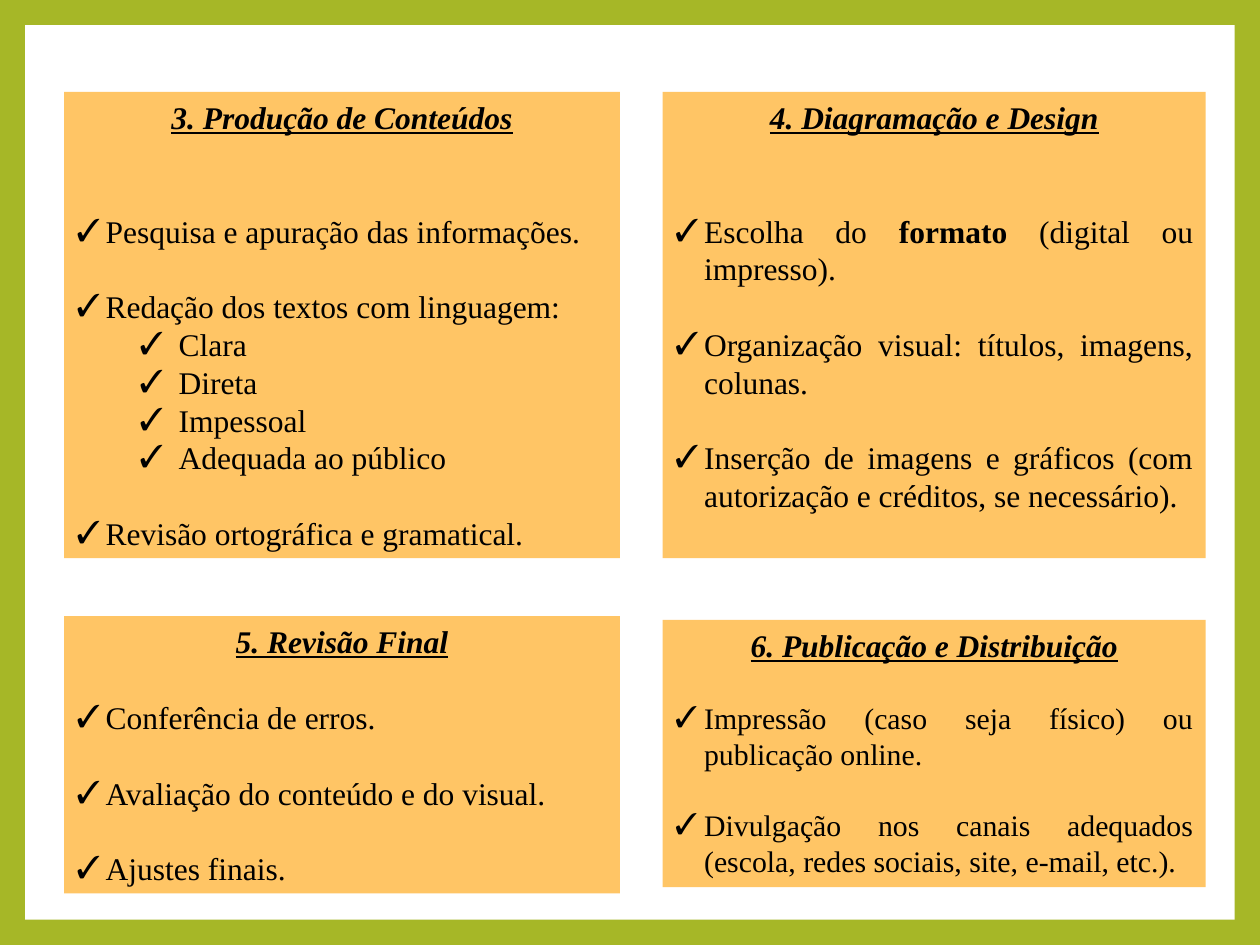
"""Build a slide with four orange panels listing the steps of a publication."""
import pptx
import pptx.util
import pptx.dml.color
import pptx.enum.shapes
import pptx.enum.text
import pptx.oxml
import pptx.oxml.ns

Inches, Pt = pptx.util.Inches, pptx.util.Pt
RGBColor = pptx.dml.color.RGBColor
ALIGN = pptx.enum.text.PP_ALIGN

GREEN = RGBColor(0xA6, 0xB7, 0x27)
WHITE = RGBColor(0xFF, 0xFF, 0xFF)
ORANGE = RGBColor(0xFF, 0xC5, 0x65)
BLACK = RGBColor(0x00, 0x00, 0x00)
FONT = "Times New Roman"
LINE_HEIGHT = 1.2
TITLE_SIZE = 18
INDENTS = [(0.23, -0.23), (0.81, -0.31)]
BULLET_PARTS = [
    f'buClr {pptx.oxml.ns.nsdecls("a")}><a:srgbClr val="{BLACK}"/></a:buClr',
    f'buFont {pptx.oxml.ns.nsdecls("a")} typeface="{FONT}"/',
    f'buChar {pptx.oxml.ns.nsdecls("a")} char="✓"/',
]

PANELS = [
    (0.51, 0.73, 4.41, 3.7, 18, "3. Produção de Conteúdos", [
        (0, 2, [("Pesquisa e apuração das informações.", False)]),
        (0, 1, [("Redação dos textos com linguagem:", False)]),
        (1, 0, [("Clara", False)]),
        (1, 0, [("Direta", False)]),
        (1, 0, [("Impessoal", False)]),
        (1, 0, [("Adequada ao público", False)]),
        (0, 1, [("Revisão ortográfica e gramatical.", False)]),
    ]),
    (5.26, 0.73, 4.31, 3.7, 18, "4. Diagramação e Design", [
        (0, 2, [("Escolha do ", False), ("formato", True),
                (" (digital ou impresso).", False)]),
        (0, 1, [("Organização visual: títulos, imagens, colunas.", False)]),
        (0, 1, [("Inserção de imagens e gráficos (com autorização e créditos, "
                 "se necessário).", False)]),
    ]),
    (0.51, 4.89, 4.41, 2.2, 18, "5. Revisão Final", [
        (0, 1, [("Conferência de erros.", False)]),
        (0, 1, [("Avaliação do conteúdo e do visual.", False)]),
        (0, 1, [("Ajustes finais.", False)]),
    ]),
    (5.26, 4.92, 4.31, 2.12, 17, "6. Publicação e Distribuição", [
        (0, 1, [("Impressão (caso seja físico) ou publicação online.", False)]),
        (0, 1, [("Divulgação nos canais adequados (escola, redes sociais, site, "
                 "e-mail, etc.).", False)]),
    ]),
]


def add_box(left, top, width, height, color):
    box = slide.shapes.add_shape(
        pptx.enum.shapes.MSO_SHAPE.RECTANGLE,
        Inches(left), Inches(top), Inches(width), Inches(height))
    box.shadow.inherit = False
    box.fill.solid()
    box.fill.fore_color.rgb = color
    box.line.fill.background()
    return box


def add_run(paragraph, text, size, bold, heading=False):
    run = paragraph.add_run()
    run.text = text
    run.font.name = FONT
    run.font.size = Pt(size)
    run.font.color.rgb = BLACK
    run.font.bold = bold
    run.font.italic = heading
    run.font.underline = heading


deck = pptx.Presentation()
deck.slide_width, deck.slide_height = Inches(10), Inches(7.5)
slide = deck.slides.add_slide(deck.slide_layouts[6])
slide.background.fill.solid()
slide.background.fill.fore_color.rgb = GREEN
add_box(0.2, 0.2, 9.6, 7.1, WHITE)

for left, top, width, height, size, heading, items in PANELS:
    frame = add_box(left, top, width, height, ORANGE).text_frame
    frame.word_wrap = True
    frame.auto_size = pptx.enum.text.MSO_AUTO_SIZE.SHAPE_TO_FIT_TEXT
    frame.vertical_anchor = pptx.enum.text.MSO_ANCHOR.TOP
    title = frame.paragraphs[0]
    title.alignment = ALIGN.CENTER
    add_run(title, heading, TITLE_SIZE, True, heading=True)

    for level, blank_lines, runs in items:
        item = frame.add_paragraph()
        item.alignment = ALIGN.JUSTIFY
        item.level = level
        item.space_before = Pt(blank_lines * size * LINE_HEIGHT)
        margin, indent = INDENTS[level]
        properties = item._p.get_or_add_pPr()
        properties.set("marL", str(Inches(margin)))
        properties.set("indent", str(Inches(indent)))
        for part in BULLET_PARTS:
            properties.append(pptx.oxml.parse_xml(f"<a:{part}>"))
        for text, bold in runs:
            add_run(item, text, size, bold)

deck.save("out.pptx")
